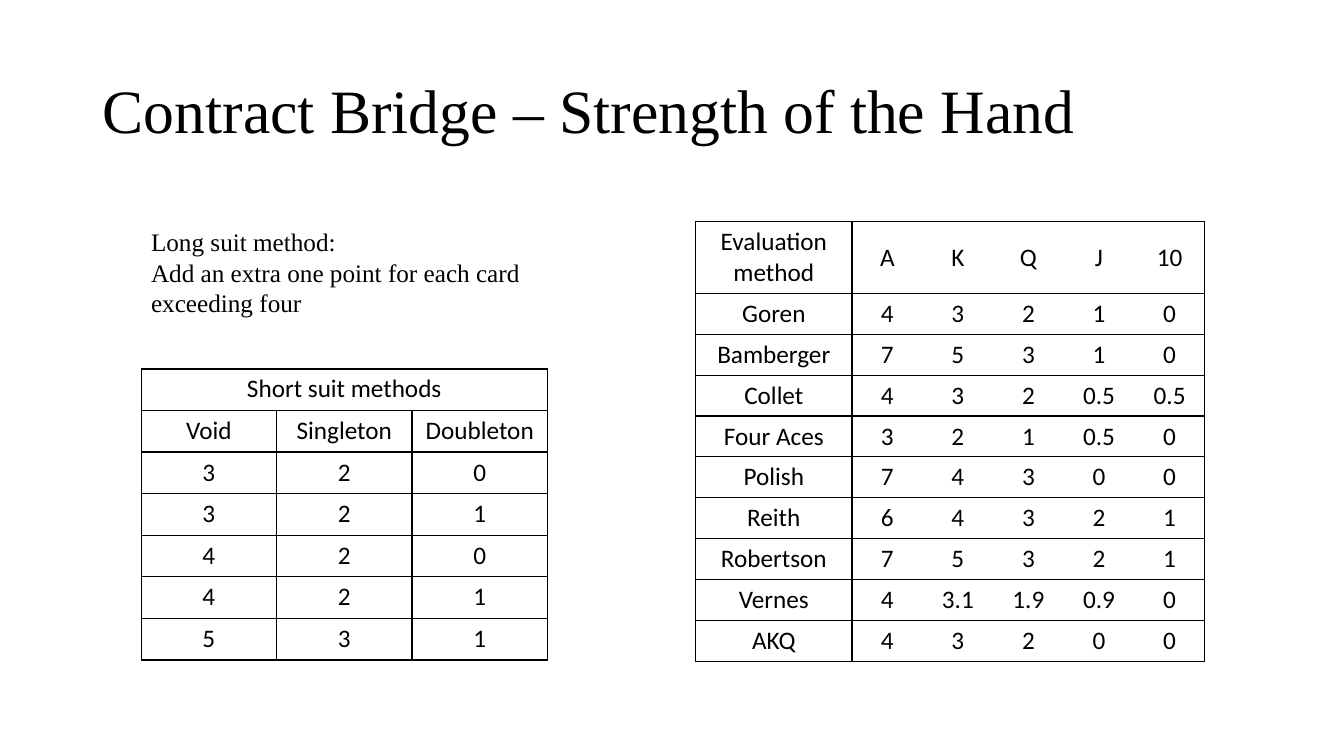
import pptx
import pptx.util
import pptx.dml.color
import pptx.enum.text
import pptx.oxml
import pptx.oxml.ns

Inches, Pt = pptx.util.Inches, pptx.util.Pt
ALIGN = pptx.enum.text.PP_ALIGN
ANCHOR = pptx.enum.text.MSO_ANCHOR

# Content
TITLE = "Contract Bridge – Strength of the Hand"
NOTE = ["Long suit method:", "Add an extra one point for each card exceeding four"]
POINTS = [
    ("Evaluation method", "A", "K", "Q", "J", "10"),
    ("Goren", "4", "3", "2", "1", "0"),
    ("Bamberger", "7", "5", "3", "1", "0"),
    ("Collet", "4", "3", "2", "0.5", "0.5"),
    ("Four Aces", "3", "2", "1", "0.5", "0"),
    ("Polish", "7", "4", "3", "0", "0"),
    ("Reith", "6", "4", "3", "2", "1"),
    ("Robertson", "7", "5", "3", "2", "1"),
    ("Vernes", "4", "3.1", "1.9", "0.9", "0"),
    ("AKQ", "4", "3", "2", "0", "0"),
]
SHORT = [
    ("Short suit methods", "", ""),
    ("Void", "Singleton", "Doubleton"),
    ("3", "2", "0"),
    ("3", "2", "1"),
    ("4", "2", "0"),
    ("4", "2", "1"),
    ("5", "3", "1"),
]
COLORS = {"ink": "000000", "page": "FFFFFF"}
SERIF, SANS = "Times New Roman", "Calibri"
LEFT, TOP, WIDTH = 1.4, 2.2, 4.03


def rgb(name):
    return pptx.dml.color.RGBColor.from_string(COLORS[name])


def write(frame, lines, font=SERIF, size=18, align=None, space=None):
    frame.word_wrap = True
    for i, line in enumerate(lines):
        para = frame.paragraphs[0] if i == 0 else frame.add_paragraph()
        para.alignment = align
        para.line_spacing = space
        run = para.add_run()
        run.text = line
        run.font.name = font
        run.font.size = Pt(size)
        run.font.color.rgb = rgb("ink")


def edge(cell, sides):
    """Draw the given sides of a cell and clear the others."""
    props = cell._tc.get_or_add_tcPr()
    for side in "LRTB":
        fill = "<a:noFill/>"
        if side in sides:
            fill = f'<a:solidFill><a:srgbClr val="{COLORS["ink"]}"/></a:solidFill>'
        props.append(pptx.oxml.parse_xml(
            f'<a:ln{side} {pptx.oxml.ns.nsdecls("a")} w="{Pt(1)}">{fill}</a:ln{side}>'))
    cell.fill.background()


def grid(slide, rows, place, wide, tall, sides):
    """Add a table; sides(column) names the borders of a cell."""
    box = [Inches(n) for n in place]
    table = slide.shapes.add_table(len(rows), len(wide), *box).table
    table.first_row = table.horz_banding = False
    for col, width in zip(table.columns, wide):
        col.width = Inches(width)
    for r, (row, height) in enumerate(zip(rows, tall)):
        table.rows[r].height = Inches(height)
        for c, text in enumerate(row):
            cell = table.cell(r, c)
            if text:
                write(cell.text_frame, [text], font=SANS, align=ALIGN.CENTER)
            edge(cell, sides(c))
    return table


def main():
    deck = pptx.Presentation()
    deck.slide_width, deck.slide_height = Inches(13.33), Inches(7.5)
    slide = deck.slides.add_slide(deck.slide_layouts[5])
    slide.background.fill.solid()
    slide.background.fill.fore_color.rgb = rgb("page")

    # Title
    title = slide.shapes.title
    title.left, title.top = Inches(0.92), Inches(0.4)
    title.width, title.height = Inches(11.5), Inches(1.45)
    title.text_frame.vertical_anchor = ANCHOR.MIDDLE
    write(title.text_frame, [TITLE], size=44, align=ALIGN.LEFT, space=0.9)

    # Points per honour card: vertical rules only beside the names and outside
    last = len(POINTS[0]) - 1
    head, high = 0.7, 4.35
    count = len(POINTS) - 1
    points = grid(
        slide, POINTS, (6.9, TOP, 5.04, high),
        [1.55] + [0.7] * last,
        [head] + [(high - head) / count] * count,
        lambda c: {0: "LRTB", 1: "LTB", last: "RTB"}.get(c, "TB"))
    for c in range(1, last + 1):
        points.cell(0, c).vertical_anchor = ANCHOR.MIDDLE

    # Short suit methods
    cols, high = len(SHORT[0]), 2.89
    short = grid(
        slide, SHORT, (LEFT, 3.66, WIDTH, high),
        [WIDTH / cols] * cols, [high / len(SHORT)] * len(SHORT),
        lambda c: "LRTB")
    short.cell(0, 0).merge(short.cell(0, cols - 1))

    # Long suit method
    note = slide.shapes.add_textbox(Inches(LEFT), Inches(TOP), Inches(WIDTH), Inches(1.01))
    write(note.text_frame, NOTE)

    deck.save("out.pptx")


if __name__ == "__main__":
    main()
